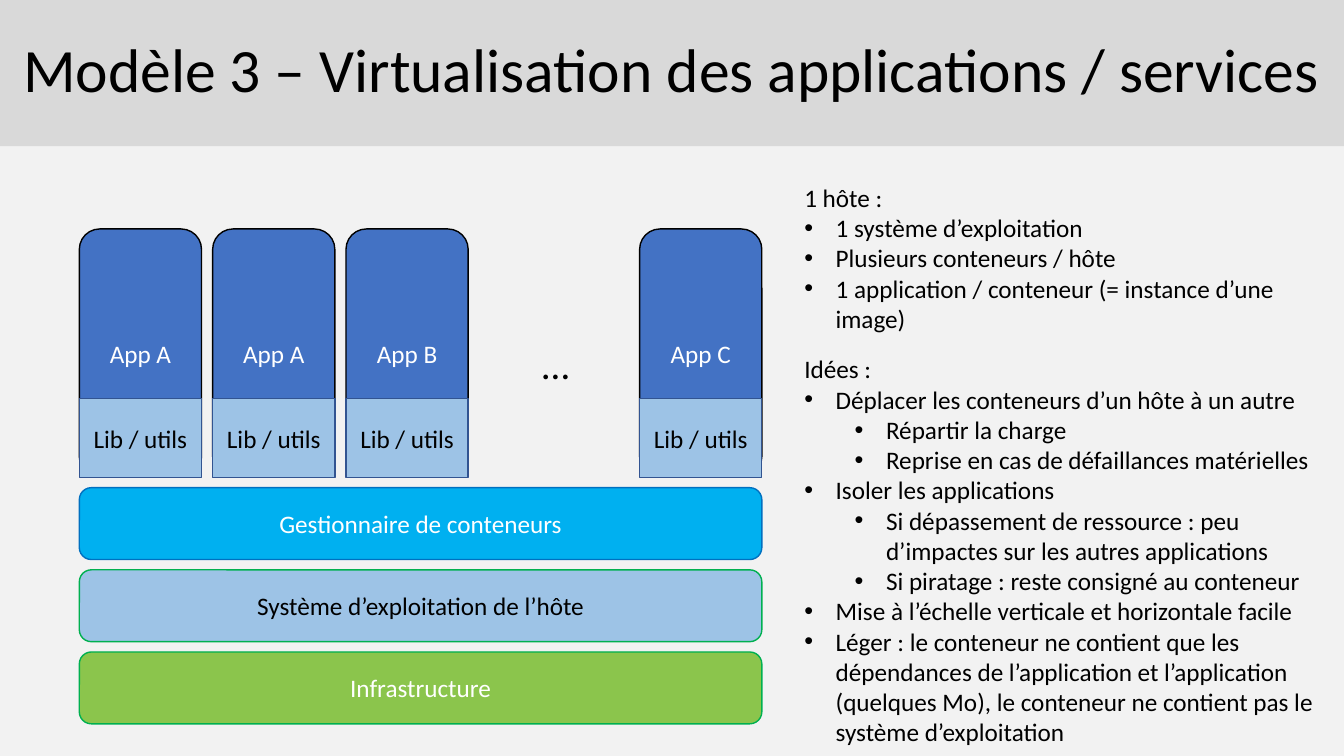
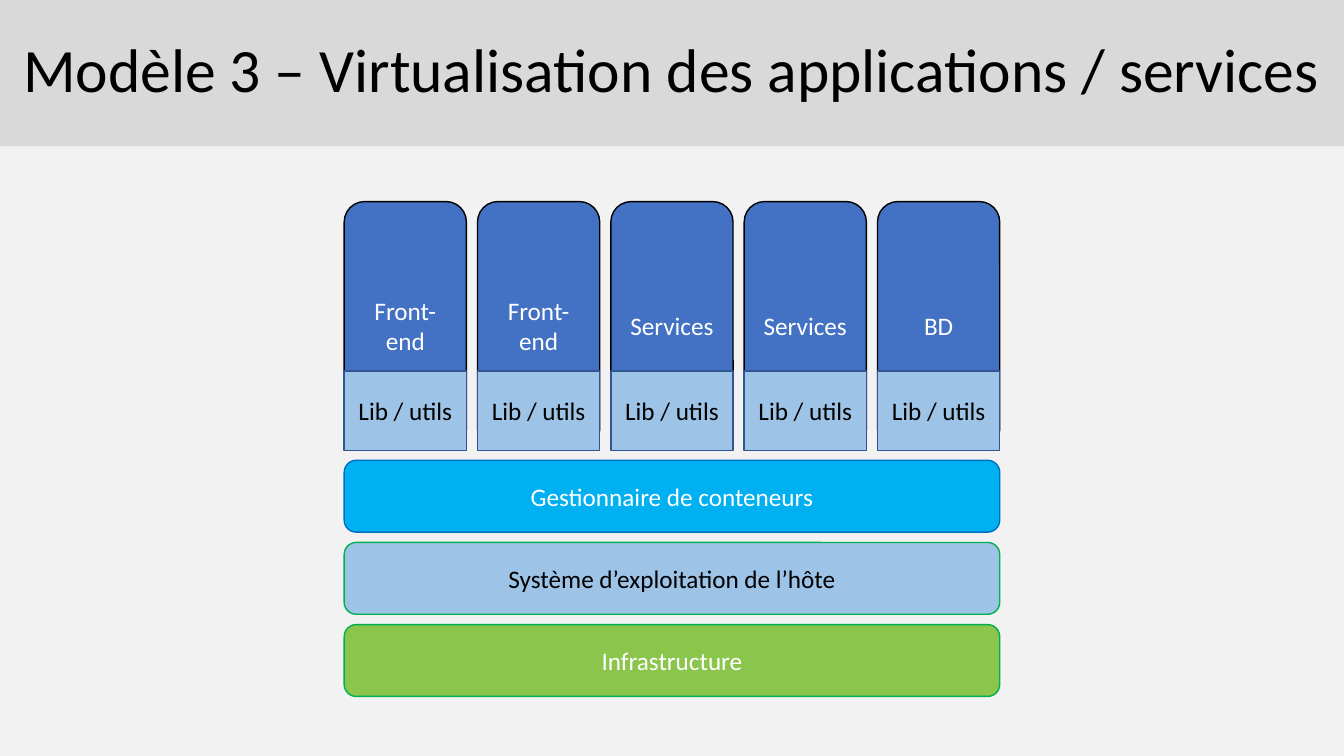
from pptx import Presentation
from pptx.dml.color import RGBColor
from pptx.enum.shapes import MSO_SHAPE as Form
from pptx.enum.text import MSO_ANCHOR as Anchor, MSO_AUTO_SIZE as Fit, PP_ALIGN as Align
from pptx.oxml.ns import qn
from pptx.util import Cm, Pt
from lxml.etree import SubElement

FONT = "Calibri"
BLACK, WHITE = "000000", "FFFFFF"
PAPER, BAND = "F2F2F2", "D9D9D9"
PALE = "9DC3E6"
APP = ("4372C4", BLACK, WHITE)
LIB = (PALE, "325491", BLACK)

TITLE = "Modèle 3 – Virtualisation des applications / services"
LAYERS = [
    ("Gestionnaire de conteneurs", ("00B0F0", "0070C0", WHITE)),
    ("Système d’exploitation de l’hôte", (PALE, "00B050", BLACK)),
    ("Infrastructure", ("8BC54C", "00B050", WHITE)),
]
HOST_APPS = ["App A", "App A", "App B"]
LAST_APP = "App C"
TIERS = ["Front-end", "Front-end", "Services", "Services", "BD"]
FACTS = [
    (0, "1 hôte :"),
    (1, "1 système d’exploitation"),
    (1, "Plusieurs conteneurs / hôte"),
    (1, "1 application / conteneur (= instance d’une image)"),
]
IDEAS = [
    (0, "Idées :"),
    (1, "Déplacer les conteneurs d’un hôte à un autre"),
    (2, "Répartir la charge"),
    (2, "Reprise en cas de défaillances matérielles"),
    (1, "Isoler les applications"),
    (2, "Si dépassement de ressource : peu d’impactes sur les autres applications"),
    (2, "Si piratage : reste consigné au conteneur"),
    (1, "Mise à l’échelle verticale et horizontale facile"),
    (1, "Léger : le conteneur ne contient que les dépendances de l’application "
        "et l’application (quelques Mo), le conteneur ne contient pas le "
        "système d’exploitation"),
]

WIDE, HIGH = 33.87, 19.05
HEAD = 3.68
COL, STEP = 3.08, 3.36
APP_H, LIB_Y, LIB_H = 6.25, 4.27, 2
BAR_Y, BAR_H, BAR_STEP = 6.52, 1.81, 2.07
HANG, INDENT = 0.79, {1: 0.79, 2: 2.06}


def color(code):
    return RGBColor.from_string(code)


def paint(shape, code):
    shape.fill.solid()
    shape.fill.fore_color.rgb = color(code)


def write(para, text, size=18, ink=BLACK):
    run = para.add_run()
    run.text = text
    run.font.name = FONT
    run.font.size = Pt(size)
    run.font.color.rgb = color(ink)


def center(shape, text, size, ink):
    frame = shape.text_frame
    frame.word_wrap = True
    frame.auto_size = Fit.NONE
    frame.vertical_anchor = Anchor.MIDDLE
    para = frame.paragraphs[0]
    para.alignment = Align.CENTER
    write(para, text, size, ink)
    return para


def add_box(slide, form, area, text, style):
    fill, edge, ink = style
    box = slide.shapes.add_shape(form, *map(Cm, area))
    box.shadow.inherit = False
    paint(box, fill)
    box.line.color.rgb = color(edge)
    box.line.width = Pt(1)
    center(box, text, 18, ink)


def add_stack(slide, left, top, width, cols):
    for x, name in cols:
        add_box(slide, Form.ROUNDED_RECTANGLE,
                (left + x, top, COL, APP_H), name, APP)
        add_box(slide, Form.RECTANGLE,
                (left + x, top + LIB_Y, COL, LIB_H), "Lib / utils", LIB)
    for i, (name, style) in enumerate(LAYERS):
        y = top + BAR_Y + i * BAR_STEP
        add_box(slide, Form.ROUNDED_RECTANGLE,
                (left, y, width, BAR_H), name, style)


def add_list(slide, area, items):
    frame = slide.shapes.add_textbox(*map(Cm, area)).text_frame
    frame.word_wrap = True
    for i, (level, text) in enumerate(items):
        para = frame.add_paragraph() if i else frame.paragraphs[0]
        if level:
            para.level = level - 1
            props = para._p.get_or_add_pPr()
            props.set("marL", str(Cm(INDENT[level])))
            props.set("indent", str(-Cm(HANG)))
            SubElement(props, qn("a:buFont")).set("typeface", "Arial")
            SubElement(props, qn("a:buChar")).set("char", "•")
        write(para, text)


def add_page(deck):
    slide = deck.slides.add_slide(deck.slide_layouts[5])
    title = slide.shapes.title
    title.left, title.top, title.width, title.height = map(Cm, (0, 0, WIDE, HEAD))
    paint(title, BAND)
    center(title, TITLE, 44, BLACK).line_spacing = 0.9
    return slide


def place(names):
    return [(i * STEP, name) for i, name in enumerate(names)]


def main():
    deck = Presentation()
    deck.slide_width, deck.slide_height = Cm(WIDE), Cm(HIGH)
    paint(deck.slide_master.background, PAPER)

    host = add_page(deck)
    width = 17.2
    cols = place(HOST_APPS) + [(width - COL, LAST_APP)]
    add_stack(host, 2, 5.77, width, cols)
    dots = host.shapes.add_textbox(*map(Cm, (13.41, 8.46, 1.19, 1.45))).text_frame
    dots.word_wrap = False
    write(dots.paragraphs[0], "…", 28)
    add_list(host, (20.02, 4.47, 13.36, 4.1), FACTS)
    add_list(host, (20.02, 8.79, 13.36, 10.2), IDEAS)

    tiers = add_page(deck)
    width = (len(TIERS) - 1) * STEP + COL
    add_stack(tiers, (WIDE - width) / 2, 5.08, width, place(TIERS))

    deck.save("out.pptx")


if __name__ == "__main__":
    main()
